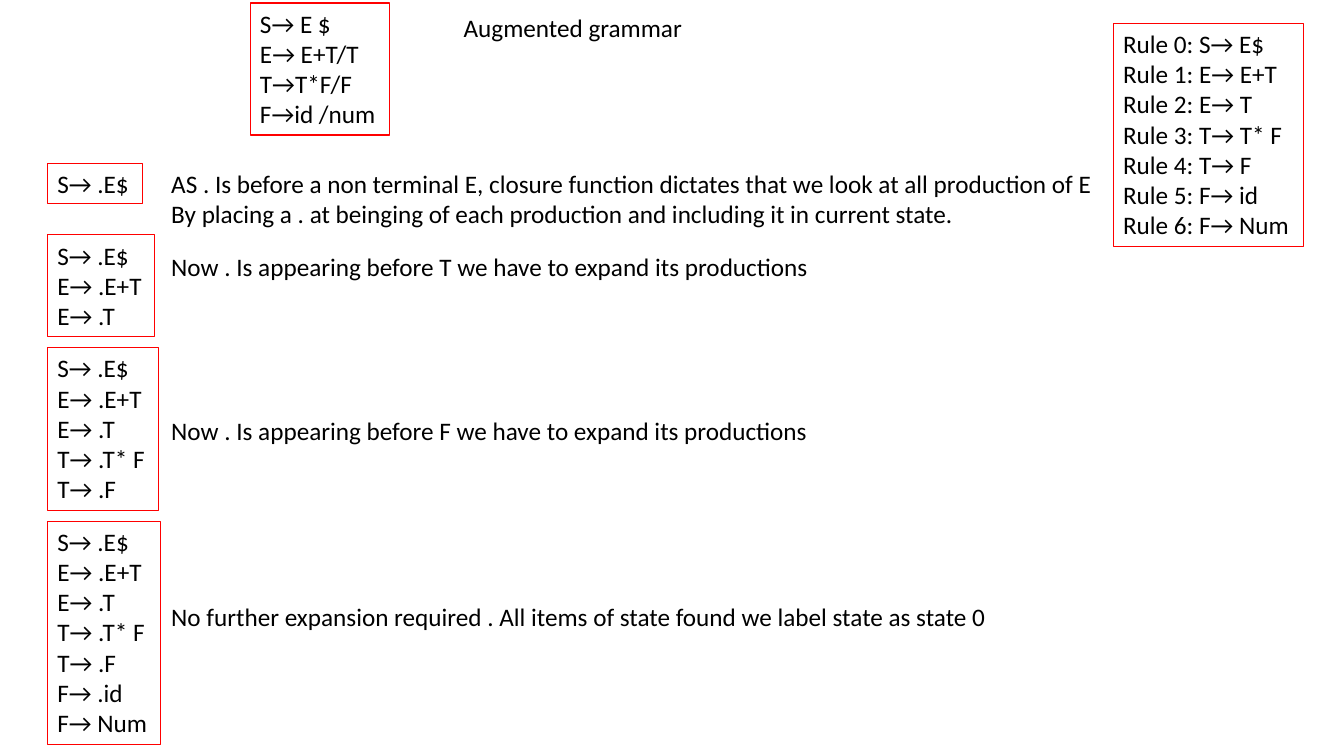
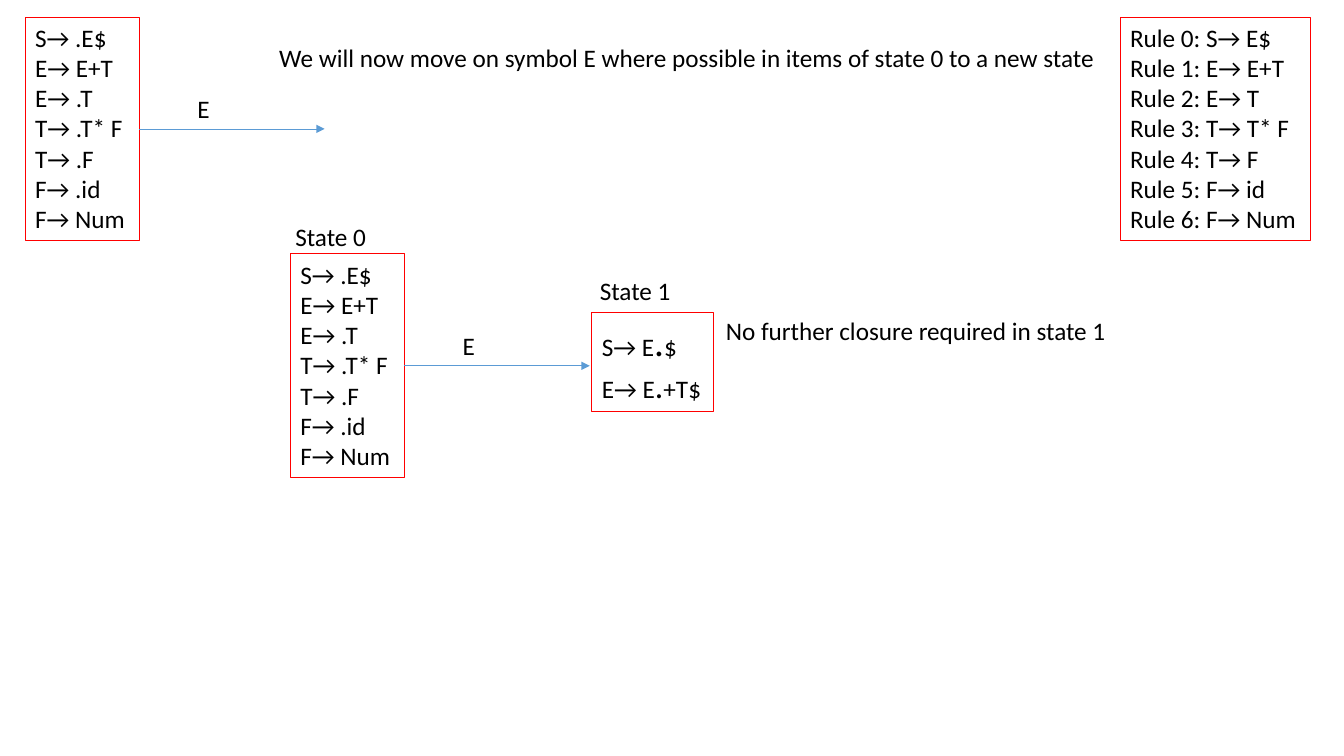
from lxml import etree
from pptx import Presentation
from pptx import util as u
from pptx.dml.color import RGBColor
from pptx.enum import shapes, text
from pptx.oxml import ns

FONT = "Calibri"
SIZE = 18
LINE_HEIGHT = 1.21 * SIZE / 72
BLACK, WHITE, RED, BLUE = "000000", "FFFFFF", "FF0000", "5B9BD5"

GRAMMAR = ["S→ E $", "E→ E+T/T", "T→T*F/F", "F→id /num"]
PRODUCTIONS = ["S→ E$", "E→ E+T", "E→ T", "T→ T* F", "T→ F", "F→ id", "F→ Num"]
RULES = [f"Rule {i}: {production}" for i, production in enumerate(PRODUCTIONS)]
CLOSURE = ["S→ .E$", "E→ .E+T", "E→ .T", "T→ .T* F", "T→ .F", "F→ .id", "F→ Num"]
STATE_0 = [CLOSURE[0], "E→ E+T", *CLOSURE[2:]]
STATE_1 = [
    [("S→ E", SIZE), (".", 28), ("$", SIZE)],
    [("E→ E", SIZE), (".", 24), ("+T$", SIZE)],
]


def color(value):
    return RGBColor.from_string(value)


def text_height(lines):
    return 0.1 + LINE_HEIGHT * len(lines)


def write(sp, lines, wrap=False):
    tf = sp.text_frame
    tf.word_wrap = wrap
    tf.auto_size = text.MSO_AUTO_SIZE.SHAPE_TO_FIT_TEXT
    tf.vertical_anchor = text.MSO_ANCHOR.TOP
    for i, line in enumerate(lines):
        p = tf.add_paragraph() if i else tf.paragraphs[0]
        p.alignment = text.PP_ALIGN.LEFT
        p.font.name = FONT
        p.font.size = u.Pt(SIZE)
        p.font.color.rgb = color(BLACK)
        if isinstance(line, str):
            p.text = line
            continue
        for part, size in line:
            r = p.add_run()
            r.text = part
            r.font.name = FONT
            r.font.size = u.Pt(size)
            r.font.color.rgb = color(BLACK)


def add_box(s, x, y, w, lines, h=None):
    sp = s.shapes.add_shape(
        shapes.MSO_SHAPE.RECTANGLE,
        u.Inches(x), u.Inches(y), u.Inches(w), u.Inches(h or text_height(lines)),
    )
    sp.shadow.inherit = False
    sp.fill.solid()
    sp.fill.fore_color.rgb = color(WHITE)
    sp.line.color.rgb = color(RED)
    sp.line.width = u.Pt(0.75)
    write(sp, lines)
    return sp


def add_label(s, x, y, w, *lines, wrap=False):
    sp = s.shapes.add_textbox(
        u.Inches(x), u.Inches(y), u.Inches(w), u.Inches(text_height(lines))
    )
    write(sp, lines, wrap)


def add_transition(s, state, symbol):
    x = state.left + state.width
    y = state.top + state.height // 2
    line = s.shapes.add_connector(
        shapes.MSO_CONNECTOR.STRAIGHT, x, y, x + u.Inches(1.84), y
    )
    line.begin_connect(state, 3)
    line.line.color.rgb = color(BLUE)
    line.line.width = u.Pt(0.5)
    etree.SubElement(line.line._get_or_add_ln(), ns.qn("a:tailEnd"), type="triangle")
    etree.SubElement(line._element.spPr, ns.qn("a:effectLst"))
    add_label(s, u.Length(x).inches + 0.48, u.Length(y).inches - 0.4, 0.32, symbol)


def add_rules(s, x, y):
    add_box(s, x, y, 1.89, RULES)


def build_closure(s):
    add_box(s, 2.48, 0.03, 1.38, GRAMMAR)
    add_label(s, 4.5, 0.07, 2.39, "Augmented grammar")
    for y, w, count in [(1.62, 0.94, 1), (2.33, 1.06, 3), (3.45, 1.1, 5), (5.17, 1.12, 7)]:
        add_box(s, 0.47, y, w, CLOSURE[:count])
    add_label(
        s, 1.6, 1.62, 9.44,
        "AS . Is before a non terminal E, closure function dictates that we look at all production of E",
        "By placing a . at beinging of each production and including it in current state.",
    )
    for y, symbol in [(2.44, "T"), (4.07, "F")]:
        add_label(
            s, 1.6, y, 6.6,
            f"Now . Is appearing before {symbol} we have to expand its productions",
        )
    add_label(
        s, 1.6, 5.92, 8.31,
        "No further expansion required . All items of state found we label state as state 0",
    )
    add_rules(s, 11.04, 0.23)


def build_transition(s):
    for x, y in [(0.25, 0.17), (2.88, 2.52)]:
        add_transition(s, add_box(s, x, y, 1.13, STATE_0), "E")
    add_label(
        s, 2.67, 0.37, 8.38,
        "We will now move on symbol E where possible in items of state 0 to a new state",
    )
    add_box(s, 5.87, 3.1, 1.21, STATE_1, 0.98)
    add_label(s, 2.83, 2.15, 1.18, "State 0", wrap=True)
    add_label(s, 5.85, 2.68, 1.18, "State 1", wrap=True)
    add_label(s, 7.1, 3.08, 4.02, "No further closure required in state 1")
    add_rules(s, 11.11, 0.17)


def main():
    prs = Presentation()
    prs.slide_width = u.Inches(13.33)
    prs.slide_height = u.Inches(7.5)
    for build in (build_closure, build_transition):
        build(prs.slides.add_slide(prs.slide_layouts[6]))
    prs.save("out.pptx")


if __name__ == "__main__":
    main()
